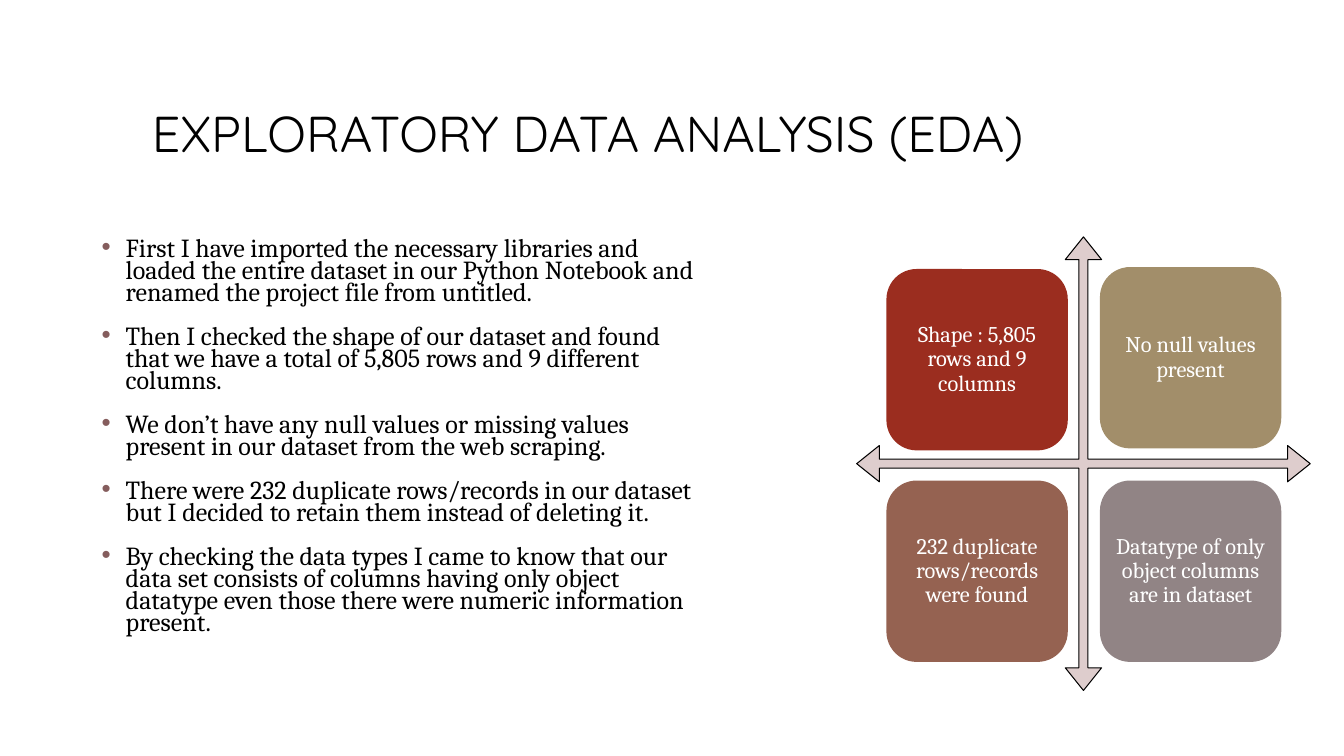
from lxml.etree import SubElement
from pptx import Presentation
from pptx.dml.color import RGBColor
from pptx.enum.shapes import MSO_SHAPE as Preset
from pptx.enum.text import MSO_ANCHOR as Anchor, PP_ALIGN as Align
from pptx.oxml.ns import qn
from pptx.util import Cm, Pt

COLORS = {
    "black": "000000",
    "white": "FFFFFF",
    "bullet": "855D5D",
    "arrows": "DECDCD",
    "red": "9B2D1F",
    "sand": "A28E6A",
    "brown": "956251",
    "gray": "918485",
}


def write(frame, texts, size, font="Cambria", color="black", align=Align.LEFT,
          anchor=Anchor.TOP, spacing=0.9, before=0, inset=None, bullet=None):
    frame.word_wrap = True
    frame.vertical_anchor = anchor
    if inset is not None:
        frame.margin_left = frame.margin_right = inset
        frame.margin_top = frame.margin_bottom = inset
    for i, text in enumerate(texts):
        paragraph = frame.add_paragraph() if i else frame.paragraphs[0]
        paragraph.alignment = align
        paragraph.line_spacing = spacing
        paragraph.space_before = Pt(before)
        run = paragraph.add_run()
        run.text = text
        run.font.size = Pt(size)
        run.font.name = font
        run.font.color.rgb = RGBColor.from_string(COLORS[color])
        if bullet:
            props = paragraph._p.get_or_add_pPr()
            props.set("marL", str(Cm(0.61)))
            props.set("indent", str(-Cm(0.63)))
            tint = SubElement(props, qn("a:buClr"))
            SubElement(tint, qn("a:srgbClr"), val=COLORS[bullet])
            SubElement(props, qn("a:buFont"), typeface="Arial")
            SubElement(props, qn("a:buChar"), char="•")


prs = Presentation()
prs.slide_width, prs.slide_height = Cm(33.87), Cm(19.05)
slide = prs.slides.add_slide(prs.slide_layouts[6])
shapes = slide.shapes

title = shapes.add_textbox(Cm(3.58), Cm(1.07), Cm(26.67), Cm(3.18))
write(title.text_frame, ["EXPLORATORY DATA ANALYSIS (EDA)"], 36,
      font="Quicksand", anchor=Anchor.BOTTOM)

axes = shapes.add_shape(Preset.QUAD_ARROW, Cm(21.59), Cm(5.97), Cm(11.43), Cm(11.43))
axes.shadow.inherit = False
for i, ratio in enumerate([0.02, 0.04, 0.05]):
    axes.adjustments[i] = ratio
axes.fill.solid()
axes.fill.fore_color.rgb = RGBColor.from_string(COLORS["arrows"])
axes.line.color.rgb = RGBColor.from_string(COLORS["black"])
axes.line.width = Pt(0.75)

findings = [
    ("Shape : 5,805 rows and 9 columns", "red", 0.05),
    ("No\u00a0null values present", "sand", 0),
    ("232 duplicate rows/records were found", "brown", 0),
    ("Datatype of only object columns are in dataset", "gray", 0),
]
for i, (finding, color, drop) in enumerate(findings):
    row, col = divmod(i, 2)
    tile = shapes.add_shape(Preset.ROUNDED_RECTANGLE, Cm(22.34 + 5.38 * col),
                            Cm(6.73 + 5.38 * row + drop), Cm(4.57), Cm(4.57))
    tile.shadow.inherit = False
    tile.fill.solid()
    tile.fill.fore_color.rgb = RGBColor.from_string(COLORS[color])
    tile.line.fill.background()
    write(tile.text_frame, [finding], 16, color="white", align=Align.CENTER,
          anchor=Anchor.MIDDLE, inset=Cm(0.17))

steps = [
    "First I have imported the necessary libraries and loaded the entire dataset "
    "in our Python Notebook and renamed the project file from untitled.",
    "Then I checked the shape of our dataset and found that we have a total of "
    "5,805 rows and 9 different columns.",
    "We don’t have any null values or missing values present in our dataset from "
    "the web scraping.",
    "There were 232 duplicate rows/records in our dataset but I decided to retain "
    "them instead of deleting it.",
    "By checking the data types I came to know that our data set consists of "
    "columns having only object datatype even those there were numeric "
    "information present.",
]
notes = shapes.add_textbox(Cm(2.31), Cm(5.92), Cm(15.49), Cm(11.53))
write(notes.text_frame, steps, 18.6, spacing=0.7, before=16, bullet="bullet")

prs.save("out.pptx")
